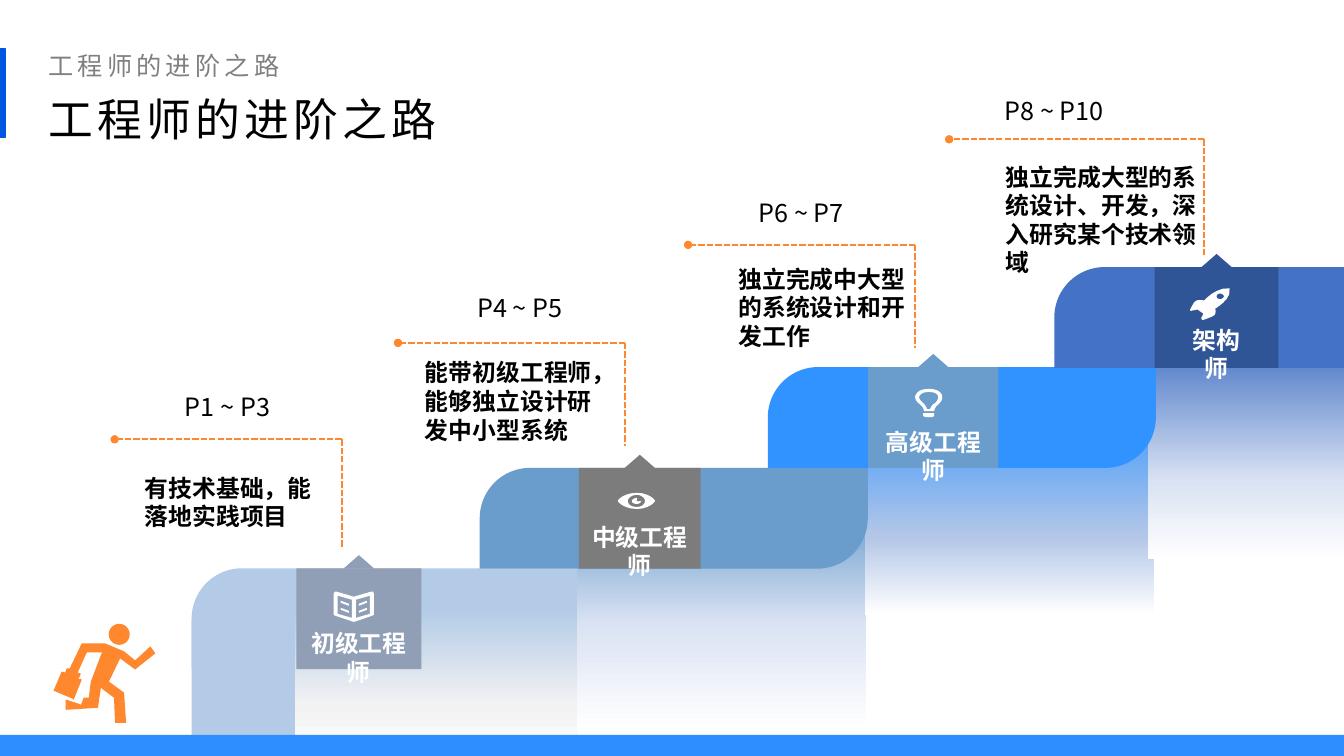
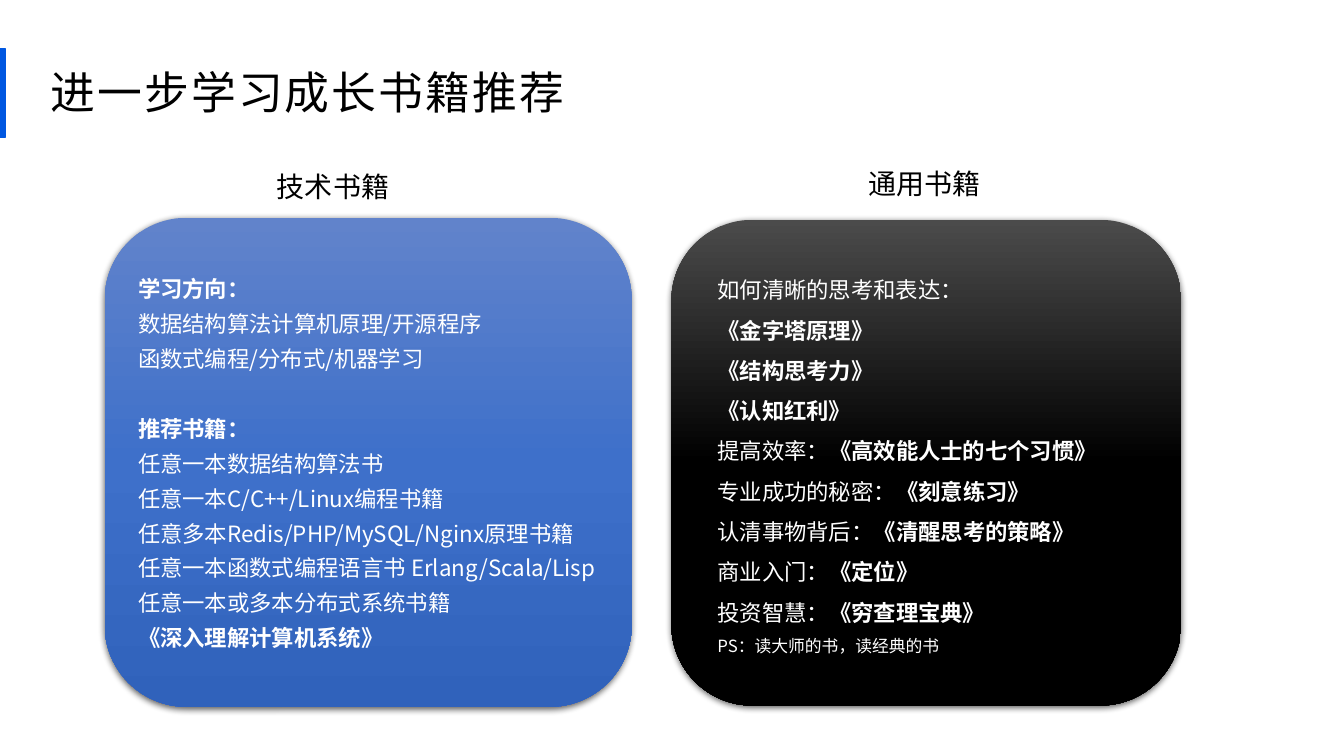
from dataclasses import dataclass
from typing import NamedTuple, Optional, Sequence

from lxml import etree
from pptx import Presentation
from pptx.dml.color import RGBColor
from pptx.enum.dml import MSO_LINE
from pptx.enum.shapes import MSO_CONNECTOR, MSO_SHAPE
from pptx.enum.text import MSO_ANCHOR, PP_ALIGN
from pptx.oxml.ns import qn
from pptx.util import Cm, Pt

RECTANGLE = MSO_SHAPE.RECTANGLE
ROUNDED = MSO_SHAPE.ROUNDED_RECTANGLE
DIAGONAL_ROUNDED = MSO_SHAPE.ROUND_2_DIAG_RECTANGLE
TRIANGLE = MSO_SHAPE.ISOSCELES_TRIANGLE
OVAL = MSO_SHAPE.OVAL
STRAIGHT = MSO_CONNECTOR.STRAIGHT
DASH = MSO_LINE.SQUARE_DOT
LEFT, CENTER = PP_ALIGN.LEFT, PP_ALIGN.CENTER
TOP, MIDDLE, BOTTOM = MSO_ANCHOR.TOP, MSO_ANCHOR.MIDDLE, MSO_ANCHOR.BOTTOM

FONT = "Noto Sans CJK SC"
WHITE = RGBColor(0xFF, 0xFF, 0xFF)
BLACK = RGBColor(0x00, 0x00, 0x00)
GRAY = RGBColor(0x80, 0x80, 0x80)
ACCENT = RGBColor(0x00, 0x57, 0xE1)
ORANGE = RGBColor(0xFF, 0x87, 0x2E)
GROUND = RGBColor(0x2E, 0x8D, 0xFF)
PALE_BLUE = RGBColor(0xB4, 0xCB, 0xE7)
STEEL_BLUE = RGBColor(0x6B, 0x9D, 0xCC)
BRIGHT_BLUE = RGBColor(0x30, 0x93, 0xFF)
ROYAL_BLUE = RGBColor(0x44, 0x72, 0xC4)
NAVY = RGBColor(0x2F, 0x55, 0x97)
SLATE = RGBColor(0x91, 0x9F, 0xB6)
DARK_GRAY = RGBColor(0x7C, 0x7C, 0x7C)
LIGHT_GRAY = RGBColor(0xF2, 0xF2, 0xF2)
MIST = RGBColor(0xDA, 0xE3, 0xF3)
HAZE = RGBColor(0xB4, 0xC7, 0xE7)
CHARCOAL = RGBColor(0x4B, 0x4B, 0x4B)
CARD_BLUES = (RGBColor(0x61, 0x83, 0xCB), RGBColor(0x3E, 0x70, 0xCA), RGBColor(0x30, 0x62, 0xBB))

STEP_HEIGHT = 2.54
ICON_UNIT = Cm(2.54) / 100
CURVE_STEPS = 6

Point = tuple[float, float]
Contour = list[Point]


class Box(NamedTuple):
    """Left, top, width and height in centimetres."""
    left: float
    top: float
    width: float
    height: float

    def lengths(self) -> list[Cm]:
        return [Cm(value) for value in self]


class Line(NamedTuple):
    """One paragraph: a plain part followed by a bold part."""
    plain: str = ""
    bold: str = ""
    gap: float = 0
    size: Optional[float] = None


@dataclass(frozen=True)
class Style:
    size: float
    color: RGBColor = BLACK
    align: PP_ALIGN = LEFT
    anchor: MSO_ANCHOR = TOP
    spacing: float = 0
    line_spacing: float = 1.0
    margins: tuple[float, float, float, float] = (0.25, 0.13, 0.25, 0.13)


@dataclass(frozen=True)
class Step:
    role: str
    grade: str
    duty: str
    color: RGBColor
    tag_color: RGBColor
    haze: RGBColor
    haze_at: int
    body: Box
    square_part: Optional[Box]
    fade: Box
    tag_left: float
    tag_width: float
    role_top: float
    grade_at: Point
    duty_box: Box
    corner: Point
    reach: float
    drop: float
    icon: list[Contour]
    icon_at: Point


@dataclass(frozen=True)
class Card:
    heading: str
    heading_at: Point
    box: Box
    colors: tuple[RGBColor, RGBColor, RGBColor]
    text_box: Box
    line_spacing: float
    lines: list[Line]


def curve(*points: Point) -> Contour:
    """Sample a chain of cubic curves: a start, then two controls and an end each."""
    sampled = [points[0]]
    for first in range(0, len(points) - 1, 3):
        a, b, c, d = points[first:first + 4]
        for step in range(1, CURVE_STEPS + 1):
            t = step / CURVE_STEPS
            u = 1 - t
            sampled.append(tuple(
                u ** 3 * a[i] + 3 * u * u * t * b[i] + 3 * u * t * t * c[i] + t ** 3 * d[i]
                for i in (0, 1)))
    return sampled


def mirror(contour: Contour) -> Contour:
    return [(40 - x, y) for x, y in contour]


PAGE_PARTS = [[(18, 26), (4, 22), (4, 4), (18, 8)],
              [(15, 19), (7, 16), (7, 18), (15, 21)],
              [(15, 12), (7, 9), (7, 11), (15, 14)]]
BOOK = [[(0, 2), (1, 0), (3, 0), (20, 5), (37, 0), (39, 0), (40, 2), (40, 23), (38, 24),
         (20, 30), (2, 24), (0, 23)], *PAGE_PARTS, *map(mirror, PAGE_PARTS)]
EYE = [
    curve((19, 0), (6, 0), (0, 7), (0, 8), (0, 9), (6, 16), (19, 16),
          (31, 16), (37, 9), (37, 8), (37, 7), (31, 0), (19, 0)),
    curve((19, 14), (14, 14), (10, 12), (10, 8), (10, 5), (14, 2), (19, 2),
          (23, 2), (27, 5), (27, 8), (27, 12), (23, 14), (19, 14)),
    curve((19, 8), (18, 8), (20, 5), (19, 5), (16, 5), (14, 7), (14, 8), (14, 10), (16, 11),
          (19, 11), (21, 11), (23, 10), (23, 8), (23, 8), (19, 9), (19, 8)),
]
BULB = [
    [(8, 27), (11, 28), (17, 28), (19, 27), (19, 24), (8, 24)],
    curve((19, 22), (19, 16), (28, 14), (27, 8), (27, 4), (23, 0), (14, 0),
          (4, 0), (1, 4), (0, 8), (0, 14), (9, 16), (9, 22)),
    curve((4, 8), (5, 5), (8, 3), (14, 3), (19, 3), (23, 5), (23, 8), (23, 10), (22, 12),
          (20, 14), (18, 15), (16, 17), (15, 20), (14, 20), (13, 20), (12, 20),
          (11, 17), (9, 15), (8, 14), (6, 12), (4, 10), (4, 8)),
]
ROCKET = [
    curve((26, 21), (26, 21), (42, 12), (40, 2), (40, 2), (40, 2), (40, 1),
          (26, 0), (15, 13), (15, 13), (5, 12), (6, 13), (1, 22), (0, 23), (2, 24), (3, 23),
          (5, 23), (8, 22), (8, 22), (10, 23), (12, 25), (14, 26), (14, 26), (13, 29), (12, 30),
          (12, 32), (13, 33), (15, 32), (25, 28), (27, 29), (26, 21)),
    curve((28, 11), (27, 10), (27, 8), (28, 7), (30, 6), (32, 6), (33, 7),
          (35, 8), (35, 10), (33, 11), (32, 12), (30, 12), (28, 11)),
]
RUNNER = [[
    (81, 17), (70, 8), (51, 0), (28, 0), (16, 25), (13, 25), (12, 28), (11, 29), (8, 28),
    (0, 47), (19, 55), (20, 56), (28, 36), (25, 35), (25, 34), (26, 33), (27, 30), (24, 29),
    (33, 9), (48, 9), (37, 38), (35, 54), (30, 54), (28, 59), (27, 61), (25, 60), (13, 56),
    (12, 56), (12, 66), (44, 64), (47, 44), (48, 45), (60, 54), (61, 79), (72, 79), (70, 49),
    (55, 38), (66, 15), (81, 26), (101, 10), (96, 3)]]

STEPS = [
    Step("初级工程师", "P1 ~ P3", "有技术基础，能落地实践项目", PALE_BLUE, SLATE, LIGHT_GRAY, 65,
         Box(4.83, 14.32, 9.78, STEP_HEIGHT), Box(4.83, 15.6, 2.63, 3.2),
         Box(7.44, 15.37, 7.14, 3.68), 7.47, 3.15, 15.85, (3.12, 9.73),
         Box(3.4, 11.58, 5, 2.13), (8.61, 11.07), 5.72, 2.72, BOOK, (8.41, 14.91)),
    Step("中级工程师", "P4 ~ P5", "能带初级工程师，能够独立设计研发中小型系统",
         STEEL_BLUE, DARK_GRAY, MIST, 52,
         Box(12.09, 11.79, 9.78, STEP_HEIGHT), None,
         Box(14.53, 12.83, 7.29, 5.56), 14.59, 3.07, 13.16, (10.49, 7.24),
         Box(10.46, 9.04, 5, 2.13), (15.75, 8.64), 5.72, 2.61, EYE, (15.57, 12.42)),
    Step("高级工程师", "P6 ~ P7", "独立完成中大型的系统设计和开发工作",
         BRIGHT_BLUE, STEEL_BLUE, HAZE, 65,
         Box(19.35, 9.25, 9.78, STEP_HEIGHT), None,
         Box(21.79, 9.93, 7.29, 5.56), 21.88, 3.28, 10.77, (17.58, 4.85),
         Box(18.36, 6.68, 5, 2.13), (23.06, 6.17), 5.72, 2.61, BULB, (23.06, 9.8)),
    Step("架构师", "P8 ~ P10", "独立完成大型的系统设计、开发，深入研究某个技术领域",
         ROYAL_BLUE, NAVY, MIST, 65,
         Box(26.57, 6.73, 7.3, STEP_HEIGHT), Box(31.33, 6.73, 2.54, STEP_HEIGHT),
         Box(28.93, 8.53, 4.94, 5.56), 29.1, 3.12, 8.2, (23.95, 2.26),
         Box(25.1, 3.89, 5.41, 3.28), (30.35, 3.51), 6.43, 2.94, ROCKET, (29.97, 7.24)),
]

CARDS = [
    Card("通用书籍", (17.83, 4.06), Box(16.92, 5.54, 12.85, 12.24), (CHARCOAL, BLACK, BLACK),
         Box(17.83, 6.5, 12.01, 10.26), 1.5,
         [Line("如何清晰的思考和表达："), Line(bold="《金字塔原理》"), Line(bold="《结构思考力》"),
          Line(bold="《认知红利》"), Line("提高效率：", "《高效能人士的七个习惯》"),
          Line("专业成功的秘密：", "《刻意练习》"), Line("认清事物背后：", "《清醒思考的策略》"),
          Line("商业入门：", "《定位》"), Line("投资智慧：", "《穷查理宝典》"),
          Line("PS：读大师的书，读经典的书", size=12)]),
    Card("技术书籍", (2.92, 4.14), Box(2.64, 5.49, 13.28, 12.32), CARD_BLUES,
         Box(3.23, 6.6, 12.95, 10.03), 1.3,
         [Line(bold="学习方向："), Line("数据结构算法计算机原理/开源程序"),
          Line("函数式编程/分布式/机器学习"), Line(bold="推荐书籍：", gap=25),
          Line("任意一本数据结构算法书"), Line("任意一本C/C++/Linux编程书籍"),
          Line("任意多本Redis/PHP/MySQL/Nginx原理书籍"),
          Line("任意一本函数式编程语言书 Erlang/Scala/Lisp"),
          Line("任意一本或多本分布式系统书籍"), Line(bold="《深入理解计算机系统》")]),
]


def add_text(slide, box: Box, lines: Sequence[Line], style: Style) -> None:
    frame = slide.shapes.add_textbox(*box.lengths()).text_frame
    frame.word_wrap = True
    frame.vertical_anchor = style.anchor
    (frame.margin_left, frame.margin_top,
     frame.margin_right, frame.margin_bottom) = map(Cm, style.margins)
    for index, line in enumerate(lines):
        para = frame.add_paragraph() if index else frame.paragraphs[0]
        para.alignment = style.align
        para.line_spacing = style.line_spacing
        if line.gap:
            para.space_before = Pt(line.gap)
        for text, bold in ((line.plain, False), (line.bold, True)):
            if text:
                span = para.add_run()
                span.text = text
                span.font.size = Pt(line.size or style.size)
                span.font.bold = bold
                span.font.color.rgb = style.color
                span.font.name = FONT
                properties = span.font._element
                etree.SubElement(properties, qn("a:ea"), typeface=FONT)
                if style.spacing:
                    properties.set("spc", str(int(style.spacing * 100)))


def paint(shape, color: RGBColor) -> None:
    """Give a shape a flat fill with neither outline nor shadow."""
    shape.shadow.inherit = False
    shape.fill.solid()
    shape.fill.fore_color.rgb = color
    shape.line.fill.background()


def add_block(slide, kind: MSO_SHAPE, box: Box, color: RGBColor):
    shape = slide.shapes.add_shape(kind, *box.lengths())
    paint(shape, color)
    return shape


def shade_down(shape, stops: Sequence[tuple[int, RGBColor]]) -> None:
    """Fill from top to bottom with (percent, colour) stops."""
    shape.fill.gradient()
    shape.fill.gradient_angle = 270
    stop_list = shape._element.spPr.find(qn("a:gradFill")).find(qn("a:gsLst"))
    stop_list.clear()
    for percent, color in stops:
        stop = etree.SubElement(stop_list, qn("a:gs"), pos=str(percent * 1000))
        etree.SubElement(stop, qn("a:srgbClr"), val=str(color))


def add_soft_shadow(shape) -> None:
    effects = shape._element.spPr.find(qn("a:effectLst"))
    shadow = etree.SubElement(effects, qn("a:outerShdw"), blurRad=str(Pt(4.5)),
                              dist=str(Pt(1.5)), dir="5400000", rotWithShape="0")
    color = etree.SubElement(shadow, qn("a:srgbClr"), val=str(BLACK))
    etree.SubElement(color, qn("a:alpha"), val="63000")


def add_outline(slide, contours: list[Contour], at: Point, color: RGBColor) -> None:
    """Draw closed contours given on the icon grid; inner contours become holes."""
    fine = [[(x * 10, y * 10) for x, y in contour] for contour in contours]
    builder = slide.shapes.build_freeform(*fine[0][0], scale=ICON_UNIT / 10)
    builder.add_line_segments(fine[0][1:], close=True)
    for contour in fine[1:]:
        builder.move_to(*contour[0])
        builder.add_line_segments(contour[1:], close=True)
    paint(builder.convert_to_shape(Cm(at[0]), Cm(at[1])), color)


def add_dashes(slide, start: Point, end: Point, dot: bool = False) -> None:
    connector = slide.shapes.add_connector(STRAIGHT, *map(Cm, (*start, *end)))
    connector.line.color.rgb = ORANGE
    connector.line.width = Pt(1.5)
    connector.line.dash_style = DASH
    if dot:
        etree.SubElement(connector.line._get_or_add_ln(), qn("a:tailEnd"), type="oval")
    etree.SubElement(connector._element.spPr, qn("a:effectLst"))


def add_header(slide, title: str, left: float, top: float, spacing: float) -> None:
    bar = add_block(slide, RECTANGLE, Box(0, 1.22, 0.13, 2.24), ACCENT)
    bar.line.color.rgb = ACCENT
    bar.line.width = Pt(1)
    add_text(slide, Box(left, top, 31.32, 1.68), [Line(title)],
             Style(32, spacing=spacing, line_spacing=1.2, margins=(0.25, 0, 0.25, 0.13)))


def add_step_body(slide, step: Step) -> None:
    body = add_block(slide, DIAGONAL_ROUNDED, step.body, step.color)
    body.adjustments[0] = 0.5
    if step.square_part:
        add_block(slide, RECTANGLE, step.square_part, step.color)


def add_step_details(slide, step: Step) -> None:
    top = step.body.top
    center = step.tag_left + step.tag_width / 2
    add_block(slide, RECTANGLE, Box(step.tag_left, top, step.tag_width, STEP_HEIGHT), step.tag_color)
    add_block(slide, TRIANGLE, Box(center - 0.39, top - 0.33, 0.78, 0.34), step.tag_color)
    add_outline(slide, step.icon, step.icon_at, WHITE)
    role_width = (len(step.role) - 0.5) * 0.6
    add_text(slide, Box(center - role_width / 2, step.role_top, role_width, 1.45),
             [Line(bold=step.role)], Style(17, WHITE, CENTER, margins=(0, 0, 0, 0)))
    x, y = step.corner
    add_dashes(slide, (x, y), (x - step.reach, y), dot=True)
    add_dashes(slide, (x, y), (x, y + step.drop))
    add_text(slide, step.duty_box, [Line(bold=step.duty)], Style(17, anchor=MIDDLE))
    add_text(slide, Box(*step.grade_at, 5.23, 1.02), [Line(step.grade)], Style(18, align=CENTER))


def build_career_slide(slide) -> None:
    title = "工程师的进阶之路"
    add_header(slide, title, 0.97, 2.03, 3)
    add_text(slide, Box(0.97, 0.81, 26.62, 1.22), [Line(title)],
             Style(18, GRAY, anchor=BOTTOM, spacing=3, line_spacing=1.2,
                   margins=(0.25, 0.13, 0.25, 0)))
    add_step_body(slide, STEPS[0])
    for step in STEPS:
        fade = add_block(slide, RECTANGLE, step.fade, step.color)
        shade_down(fade, [(0, step.color), (step.haze_at, step.haze), (100, WHITE)])
    add_block(slide, RECTANGLE, Box(0, 18.52, 33.87, 0.53), GROUND)
    for step in STEPS[1:]:
        add_step_body(slide, step)
    for step in STEPS:
        add_step_details(slide, step)
    add_block(slide, OVAL, Box(2.74, 15.72, 0.53, 0.53), ORANGE)
    add_outline(slide, RUNNER, (1.35, 16.21), ORANGE)


def build_books_slide(slide) -> None:
    add_header(slide, "进一步学习成长书籍推荐", 1.02, 1.35, 1.5)
    for card in CARDS:
        panel = add_block(slide, ROUNDED, card.box, card.colors[0])
        shade_down(panel, list(zip((0, 50, 100), card.colors)))
        add_soft_shadow(panel)
        add_text(slide, Box(*card.heading_at, 10.95, 1.12), [Line(card.heading)],
                 Style(20, align=CENTER))
        add_text(slide, card.text_box, card.lines,
                 Style(16, WHITE, line_spacing=card.line_spacing))


def main() -> None:
    deck = Presentation()
    deck.slide_width, deck.slide_height = Cm(33.87), Cm(19.05)
    for build in (build_career_slide, build_books_slide):
        build(deck.slides.add_slide(deck.slide_layouts[6]))
    deck.save("out.pptx")


if __name__ == "__main__":
    main()
